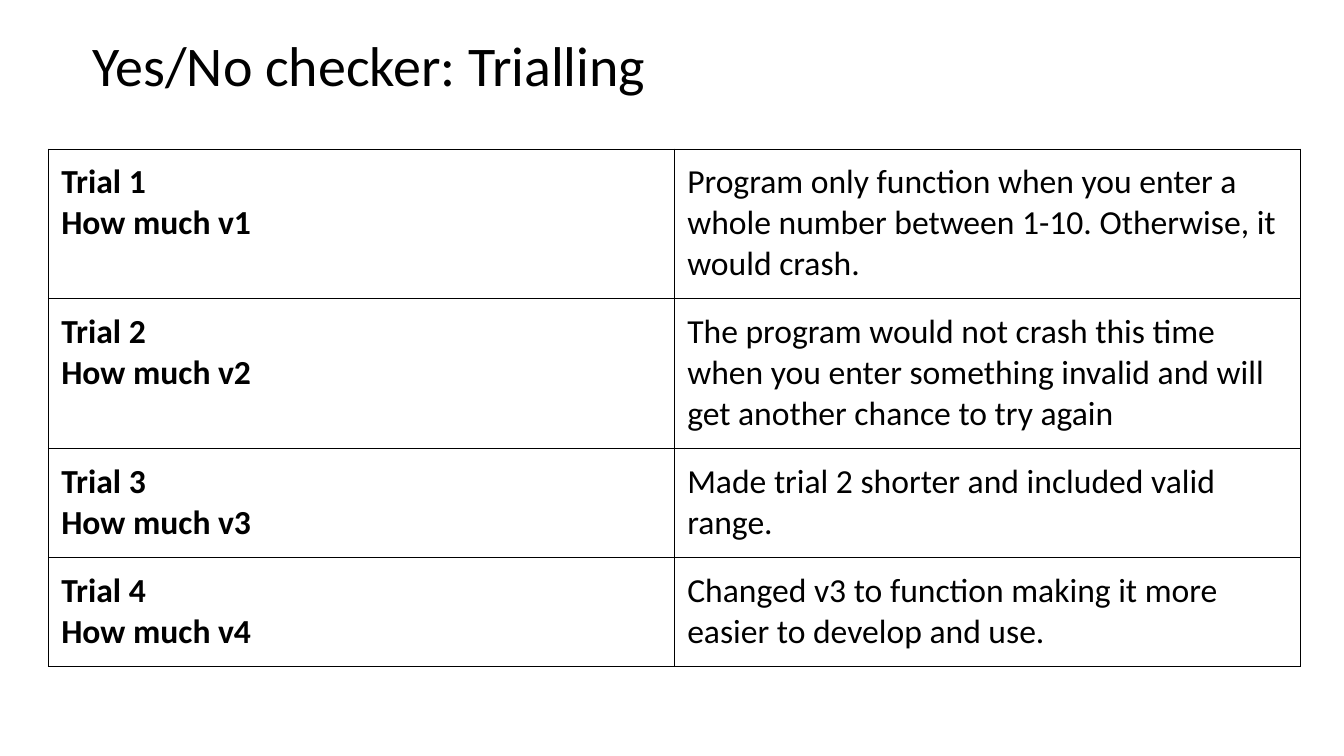
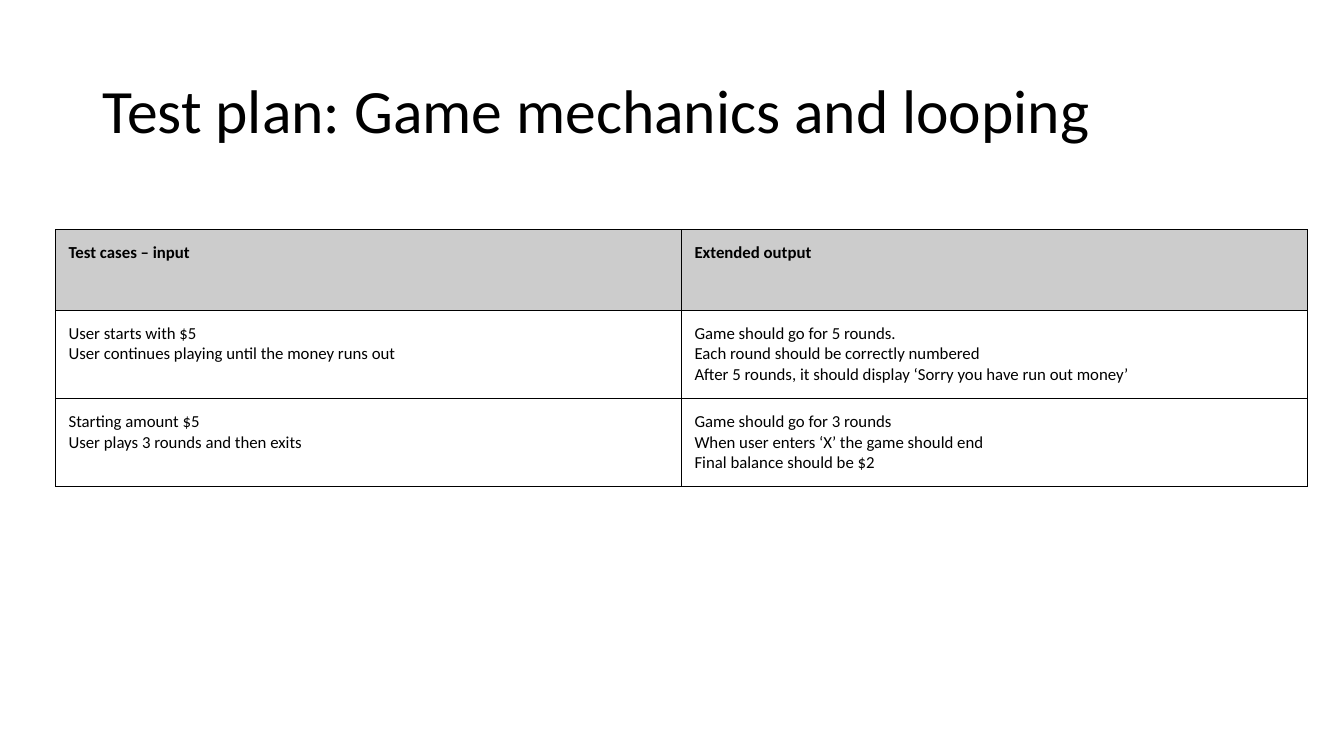
import pptx
import pptx.dml.color
import pptx.enum.text
import pptx.oxml.ns
import pptx.util
from lxml import etree

Pt = pptx.util.Pt
BLACK = pptx.dml.color.RGBColor(0x00, 0x00, 0x00)
WHITE = pptx.dml.color.RGBColor(0xFF, 0xFF, 0xFF)
GREY = pptx.dml.color.RGBColor(0xCC, 0xCC, 0xCC)


class Deck:
    font = "Calibri"
    title_width = 828
    column_width = 447.12
    cell_margin = 9.2
    border_width = 1

    def __init__(self):
        self.prs = pptx.Presentation()
        self.prs.slide_width = Pt(960)
        self.prs.slide_height = Pt(540)
        self.s = None

    def add_slide(self):
        self.s = self.prs.slides.add_slide(self.prs.slide_layouts[6])

    def style(self, p, size, bold=False):
        p.font.name = self.font
        p.font.size = Pt(size)
        p.font.bold = bold
        p.font.color.rgb = BLACK

    def title(self, text, left, top, height, size):
        sp = self.s.shapes.add_textbox(Pt(left), Pt(top), Pt(self.title_width), Pt(height))
        tf = sp.text_frame
        tf.word_wrap = True
        tf.vertical_anchor = pptx.enum.text.MSO_ANCHOR.MIDDLE
        p = tf.paragraphs[0]
        p.text = text
        p.line_spacing = 0.9
        self.style(p, size)

    def table(self, rows, left, top, heights, size, header=False, bold_labels=False):
        """Draw a bordered table; a line break in a cell's text starts a paragraph."""
        columns = len(rows[0])
        frame = self.s.shapes.add_table(len(rows), columns, Pt(left), Pt(top),
                                        Pt(columns * self.column_width), Pt(sum(heights)))
        table = frame.table
        table.first_row = header
        table.horz_banding = False
        for column in table.columns:
            column.width = Pt(self.column_width)
        for i, (texts, height) in enumerate(zip(rows, heights)):
            table.rows[i].height = Pt(height)
            is_header = header and i == 0
            for j, text in enumerate(texts):
                bold = is_header or (bold_labels and j == 0)
                self.cell(table.cell(i, j), text, size, bold, GREY if is_header else WHITE)

    def cell(self, cell, text, size, bold, fill):
        cell.margin_left = cell.margin_right = Pt(self.cell_margin)
        cell.margin_top = cell.margin_bottom = Pt(self.cell_margin)
        self.borders(cell)
        cell.fill.solid()
        cell.fill.fore_color.rgb = fill
        cell.text_frame.text = text
        for p in cell.text_frame.paragraphs:
            self.style(p, size, bold)

    def borders(self, cell):
        qn = pptx.oxml.ns.qn
        tc_pr = cell._tc.get_or_add_tcPr()
        for side in ("a:lnL", "a:lnR", "a:lnT", "a:lnB"):
            line = etree.SubElement(tc_pr, qn(side), w=str(Pt(self.border_width)))
            fill = etree.SubElement(line, qn("a:solidFill"))
            etree.SubElement(fill, qn("a:srgbClr"), val=str(BLACK))


def main():
    deck = Deck()

    deck.add_slide()
    deck.title("Yes/No checker: Trialling", 59, 17.3, 63.4, 40)
    results = [
        "Program only function when you enter a whole number between 1-10. "
        "Otherwise, it would crash.",
        "The program would not crash this time when you enter something invalid "
        "and will get another chance to try again",
        "Made trial 2 shorter and included valid range.",
        "Changed v3 to function making it more easier to develop and use.",
    ]
    trials = [(f"Trial {n}\nHow much v{n}", result) for n, result in enumerate(results, 1)]
    deck.table(trials, 34.6, 106.5, [107, 107, 77.8, 77.8], 24, bold_labels=True)

    deck.add_slide()
    deck.title("Test plan: Game mechanics and looping", 66.2, 28.8, 104.4, 44)
    test_cases = [
        ("Test cases – input", "Extended output"),
        ("User starts with $5\nUser continues playing until the money runs out",
         "Game should go for 5 rounds.\nEach round should be correctly numbered\n"
         "After 5 rounds, it should display ‘Sorry you have run out money’"),
        ("Starting amount $5\nUser plays 3 rounds and then exits",
         "Game should go for 3 rounds\nWhen user enters ‘X’ the game should end\n"
         "Final balance should be $2"),
    ]
    deck.table(test_cases, 39.8, 164.2, [57.6, 63, 63], 12, header=True)

    deck.prs.save("out.pptx")


if __name__ == "__main__":
    main()
